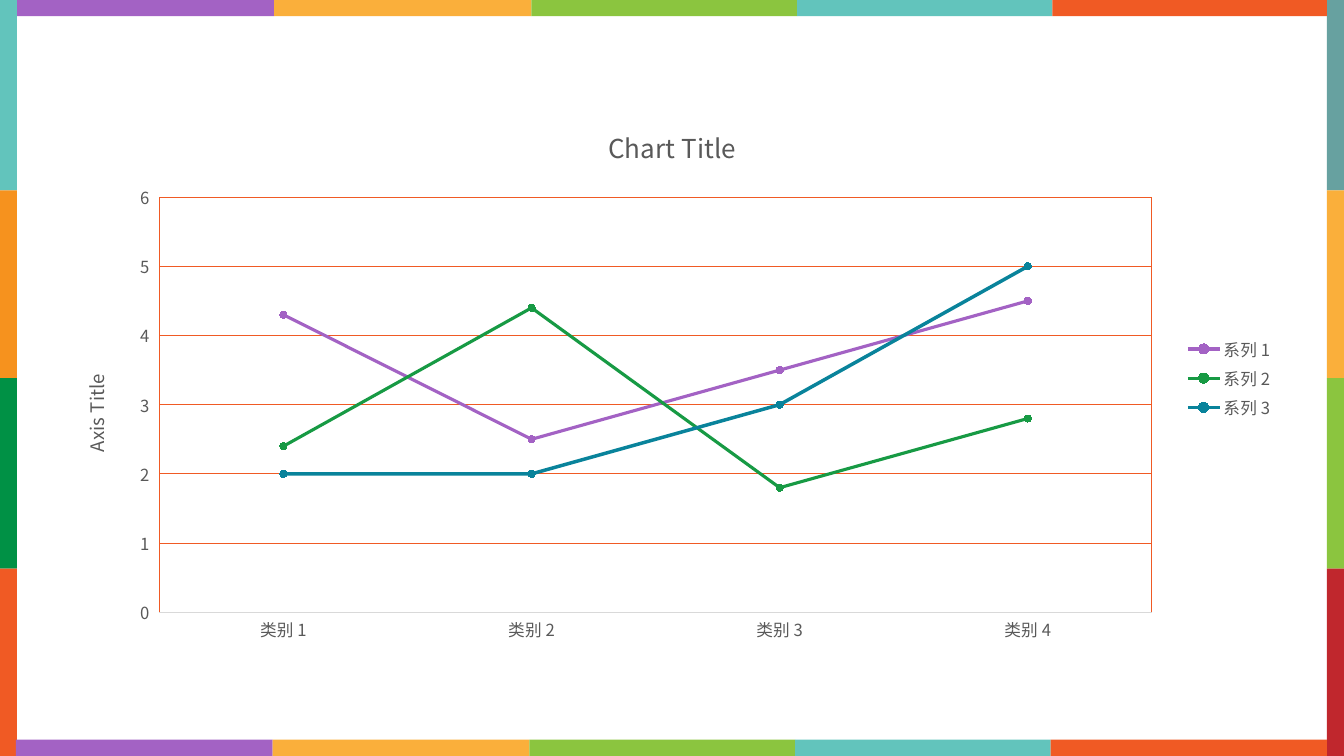
from itertools import pairwise

from lxml.etree import SubElement
from pptx import Presentation
from pptx.chart.data import CategoryChartData
from pptx.dml.color import RGBColor
from pptx.enum.chart import XL_CHART_TYPE as ChartType
from pptx.enum.chart import XL_LEGEND_POSITION as LegendPosition
from pptx.enum.chart import XL_MARKER_STYLE as MarkerStyle
from pptx.enum.chart import XL_TICK_MARK as TickMark
from pptx.enum.shapes import MSO_SHAPE as Shape
from pptx.oxml import parse_xml
from pptx.oxml.ns import qn
from pptx.util import Cm, Pt

WIDTH, HEIGHT = 33.87, 19.05
SIDE, BAND = 0.43, 0.41
FONT = "Noto Sans CJK SC"
COLORS = {
    "aqua": "62C4BC", "amber": "F6921E", "forest": "009145",
    "orange": "F05A24", "teal": "67A1A0", "yellow": "FAAF3B",
    "lime": "8BC53F", "red": "C0272D", "purple": "A362C4",
    "green": "179A44", "blue": "09839B", "text": "595959",
    "axis": "D9D9D9",
}
CATEGORIES = ["类别 1", "类别 2", "类别 3", "类别 4"]
SERIES = [
    ("系列 1", (4.3, 2.5, 3.5, 4.5), "purple", 2.25),
    ("系列 2", (2.4, 4.4, 1.8, 2.8), "green", 2.25),
    ("系列 3", (2, 2, 3, 5), "blue", 2.5),
]
PLOT_LAYOUT = {"x": 0.081, "y": 0.17, "w": 0.811, "h": 0.757}
ROW_EDGES = [0, 4.8, 9.53, 14.33, HEIGHT]
TOP_EDGES = [SIDE, 6.91, 13.39, 20.09, 26.52, WIDTH - SIDE]
BOTTOM_EDGES = [0.4, 6.87, 13.34, 20.04, 26.48, WIDTH - SIDE]
LEFT_COLORS = ["aqua", "amber", "forest", "orange"]
RIGHT_COLORS = ["teal", "yellow", "lime", "red"]
BAND_COLORS = ["purple", "yellow", "lime", "aqua", "orange"]


class SlideBuilder:
    def __init__(self, slide):
        self.slide = slide

    def color(self, name):
        return RGBColor.from_string(COLORS[name])

    def style_font(self, font, size):
        font.name = FONT
        font.size = Pt(size)
        font.bold = False
        font.color.rgb = self.color("text")

    def style_line(self, line, color, width):
        line.color.rgb = self.color(color)
        line.width = Pt(width)

    def bar(self, left, top, width, height, color):
        box = self.slide.shapes.add_shape(
            Shape.RECTANGLE, Cm(left), Cm(top), Cm(width), Cm(height))
        box.shadow.inherit = False
        box.fill.solid()
        box.fill.fore_color.rgb = self.color(color)
        box.line.fill.background()

    def column(self, left, edges, colors):
        for (start, end), color in zip(pairwise(edges), colors):
            self.bar(left, start, SIDE, end - start, color)

    def row(self, top, edges, colors):
        for (start, end), color in zip(pairwise(edges), colors):
            self.bar(start, top, end - start, BAND, color)

    def title(self, holder, text, size):
        para = holder.text_frame.paragraphs[0]
        para.text = text
        self.style_font(para.runs[0].font, size)

    def plot_frame(self, chart):
        plot_area = chart.plots[0]._element.getparent()
        for old in plot_area.findall(qn("c:layout")):
            plot_area.remove(old)
        layout = plot_area.makeelement(qn("c:layout"))
        plot_area.insert(0, layout)
        manual = SubElement(layout, qn("c:manualLayout"))
        settings = {"layoutTarget": "inner", "xMode": "edge", "yMode": "edge"}
        for tag, value in (settings | PLOT_LAYOUT).items():
            SubElement(manual, qn(f"c:{tag}")).set("val", str(value))
        plot_area.append(parse_xml(
            '<c:spPr xmlns:c="http://schemas.openxmlformats.org/drawingml/2006/chart"'
            ' xmlns:a="http://schemas.openxmlformats.org/drawingml/2006/main">'
            '<a:noFill/><a:ln w="9525"><a:solidFill>'
            f'<a:srgbClr val="{COLORS["orange"]}"/>'
            '</a:solidFill></a:ln></c:spPr>'))

    def line_chart(self, left, top, width, height):
        data = CategoryChartData()
        data.categories = CATEGORIES
        for name, values, _, _ in SERIES:
            data.add_series(name, values)
        chart = self.slide.shapes.add_chart(
            ChartType.LINE_MARKERS, Cm(left), Cm(top), Cm(width), Cm(height),
            data).chart
        self.style_font(chart.font, 11.9)
        chart.has_title = True
        self.title(chart.chart_title, "Chart Title", 18.6)
        chart.chart_title.include_in_layout = False
        chart.has_legend = True
        chart.legend.position = LegendPosition.RIGHT
        chart.legend.include_in_layout = False
        self.style_font(chart.legend.font, 11.9)

        chart.plots[0].vary_by_categories = False
        for series, (_, _, color, weight) in zip(chart.plots[0].series, SERIES):
            series.smooth = False
            self.style_line(series.format.line, color, weight)
            marker = series.marker
            marker.style = MarkerStyle.CIRCLE
            marker.size = 5
            marker.format.fill.solid()
            marker.format.fill.fore_color.rgb = self.color(color)
            marker.format.line.fill.background()

        category, value = chart.category_axis, chart.value_axis
        for axis in (category, value):
            self.style_font(axis.tick_labels.font, 11.9)
        category.major_tick_mark = TickMark.NONE
        self.style_line(category.format.line, "axis", 0.75)
        value.minimum_scale, value.maximum_scale, value.major_unit = 0, 6, 1
        value.major_tick_mark = TickMark.OUTSIDE
        value.format.line.fill.background()
        value.has_major_gridlines = True
        self.style_line(value.major_gridlines.format.line, "orange", 0.75)
        value.has_title = True
        self.title(value.axis_title, "Axis Title", 13.3)
        self.plot_frame(chart)


def main():
    deck = Presentation()
    deck.slide_width, deck.slide_height = Cm(WIDTH), Cm(HEIGHT)
    page = SlideBuilder(deck.slides.add_slide(deck.slide_layouts[6]))
    page.column(0, ROW_EDGES, LEFT_COLORS)
    page.column(WIDTH - SIDE, ROW_EDGES, RIGHT_COLORS)
    page.row(0, TOP_EDGES, BAND_COLORS)
    page.row(HEIGHT - BAND, BOTTOM_EDGES, BAND_COLORS)
    page.line_chart(1.52, 2.62, 30.84, 13.82)
    deck.save("out.pptx")


if __name__ == "__main__":
    main()
